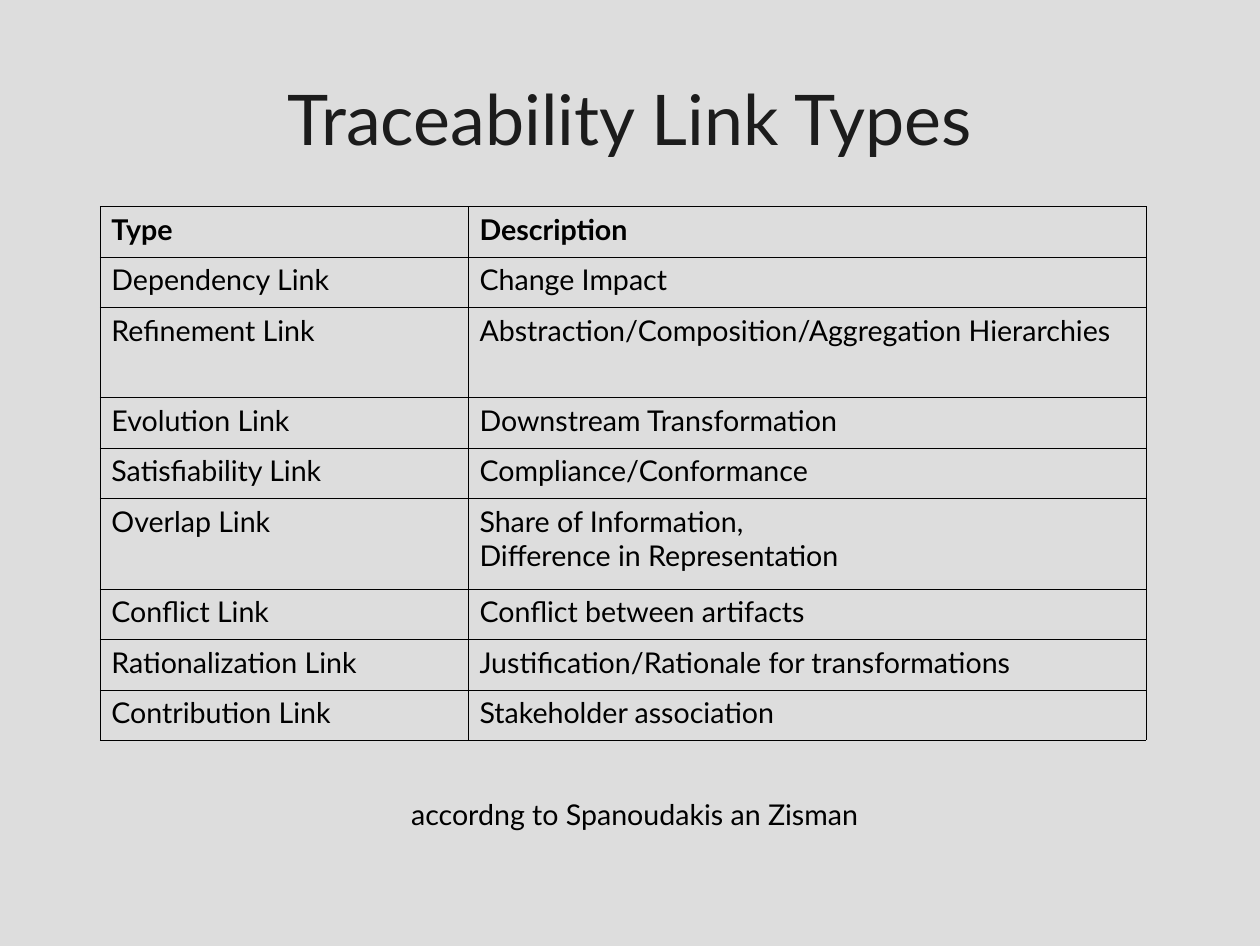
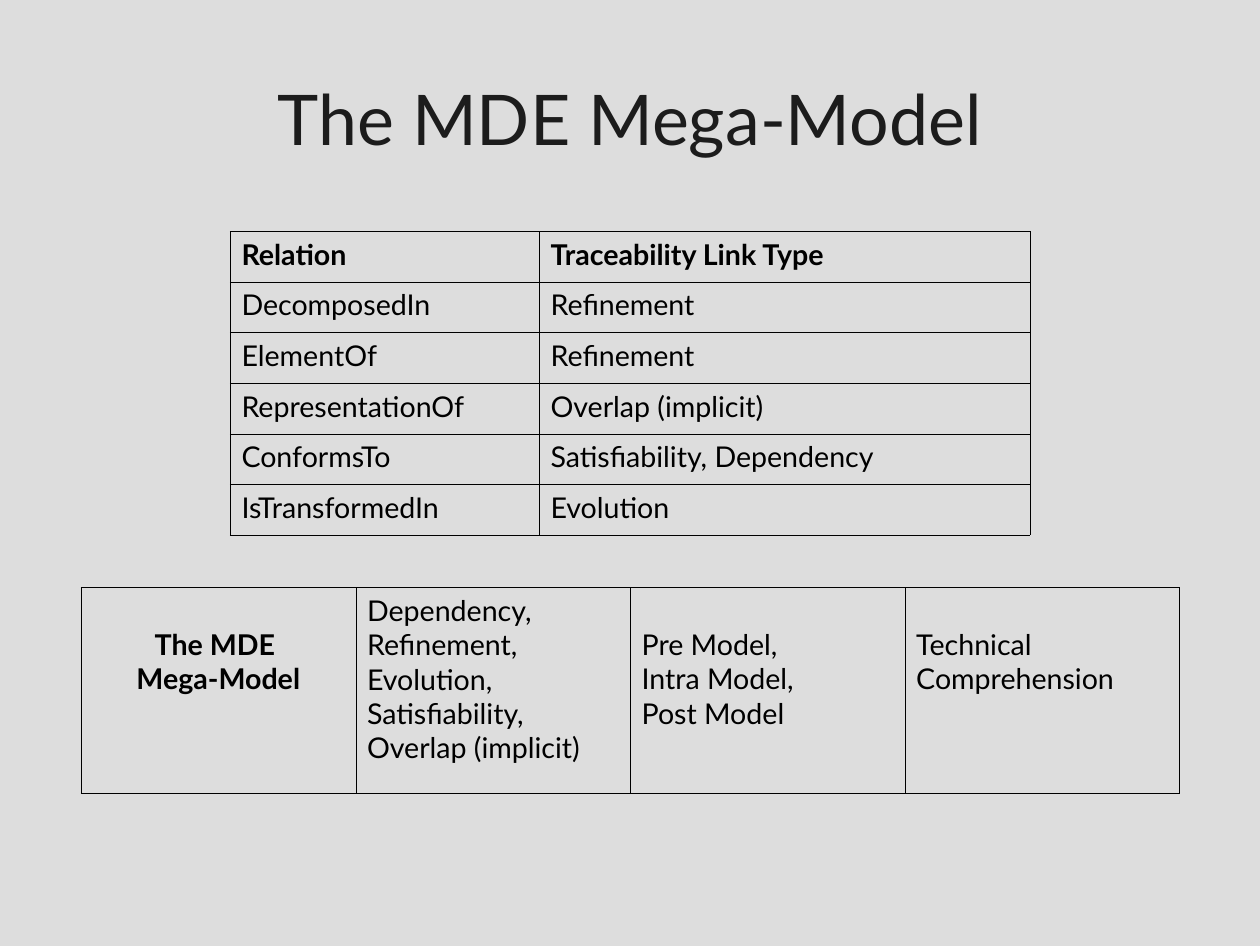
from dataclasses import dataclass

from lxml.etree import SubElement
from pptx import Presentation
from pptx.dml.color import RGBColor as RGB
from pptx.enum.text import MSO_ANCHOR as Anchor, MSO_AUTO_SIZE as Fit, PP_ALIGN as Align
from pptx.oxml.ns import qn
from pptx.util import Emu, Inches, Pt

SIZE = (11.02, 8.27)  # inches

LINKS = [
    ("Type", "Description"),
    ("Dependency Link", "Change Impact"),
    ("Refinement Link", "Abstraction/Composition/Aggregation Hierarchies"),
    ("Evolution Link", "Downstream Transformation"),
    ("Satisfiability Link", "Compliance/Conformance"),
    ("Overlap Link", "Share of Information,\nDifference in Representation"),
    ("Conflict Link", "Conflict between artifacts"),
    ("Rationalization Link", "Justification/Rationale for transformations"),
    ("Contribution Link", "Stakeholder association"),
]
TALL = {2: 90, 5: 90}
SOURCE = "accordng to Spanoudakis an Zisman"

RELATIONS = [
    ("Relation", "Traceability Link Type"),
    ("DecomposedIn", "Refinement"),
    ("ElementOf", "Refinement"),
    ("RepresentationOf", "Overlap (implicit)"),
    ("ConformsTo", "Satisfiability, Dependency"),
    ("IsTransformedIn", "Evolution"),
]
SUMMARY = [(
    "The MDE \nMega-Model",
    "Dependency,\nRefinement,\nEvolution,\nSatisfiability,\nOverlap (implicit)",
    "Pre Model,\nIntra Model,\nPost Model",
    "Technical Comprehension",
)]


@dataclass(frozen=True)
class Theme:
    font: str = "Lato"
    back: RGB = RGB(0xDD, 0xDD, 0xDD)
    head: RGB = RGB(0x1C, 0x1C, 0x1C)
    ink: RGB = RGB(0, 0, 0)
    title: int = 44
    body: int = 18
    rule: int = 762  # EMU


THEME = Theme()


def px(num):
    return Emu(round(num * 8000))


def box(*nums):
    return [px(num) for num in nums]


def write(frame, text, size=THEME.body, color=THEME.ink, bold=False, align=Align.LEFT):
    """Fill the frame with one paragraph for each line of text."""
    for num, line in enumerate(text.split("\n")):
        para = frame.add_paragraph() if num else frame.paragraphs[0]
        para.alignment = align
        run = para.add_run()
        run.text = line
        font = run.font
        font.name, font.size, font.bold = THEME.font, Pt(size), bold
        font.color.rgb = color


def add_slide(deck, title):
    slide = deck.slides.add_slide(deck.slide_layouts[5])
    head = slide.shapes.title
    head.left, head.top, head.width, head.height = box(63, 38, 1134, 158)
    frame = head.text_frame
    frame.margin_left = frame.margin_right = frame.margin_top = frame.margin_bottom = 0
    frame.vertical_anchor = Anchor.MIDDLE
    frame.auto_size = Fit.NONE
    write(frame, title, THEME.title, THEME.head, align=Align.CENTER)
    return slide


def add_rules(cell):
    props = cell._tc.get_or_add_tcPr()
    for side in ("lnL", "lnR", "lnT", "lnB"):
        line = SubElement(props, qn(f"a:{side}"), w=str(THEME.rule))
        fill = SubElement(line, qn("a:solidFill"))
        SubElement(fill, qn("a:srgbClr"), val=str(THEME.ink))


def add_grid(slide, data, left, top, cols, height, tall=None):
    """Draw a ruled table; rows not in tall share the height left over."""
    tall = tall or {}
    rest = (height - sum(tall.values())) / (len(data) - len(tall))
    shape = slide.shapes.add_table(
        len(data), len(cols), *box(left, top, sum(cols), height))
    table = shape.table
    table.first_row = table.horz_banding = False
    for col, width in zip(table.columns, cols):
        col.width = px(width)
    for num, texts in enumerate(data):
        table.rows[num].height = px(tall.get(num, rest))
        for cell, text in zip(table.rows[num].cells, texts):
            add_rules(cell)
            cell.fill.background()
            write(cell.text_frame, text, bold=num == 0 and len(data) > 1)
    return table


def add_links(deck):
    slide = add_slide(deck, "Traceability Link Types")
    add_grid(slide, LINKS, 100, 206, (368, 678), 534, TALL)
    note = slide.shapes.add_textbox(*box(320, 791, 629, 50)).text_frame
    note.word_wrap = True
    write(note, SOURCE, align=Align.CENTER)


def add_model(deck):
    slide = add_slide(deck, "The MDE Mega-Model")
    add_grid(slide, RELATIONS, 230, 231, (309, 491), 304)
    table = add_grid(slide, SUMMARY, 81, 587, [1098 / 4] * 4, 206)
    for col in (0, 2, 3):
        table.cell(0, col).margin_top = px(40)
    for para in table.cell(0, 0).text_frame.paragraphs:
        para.alignment = Align.CENTER
        para.runs[0].font.bold = True


def main():
    deck = Presentation()
    deck.slide_width, deck.slide_height = map(Inches, SIZE)
    fill = deck.slide_master.background.fill
    fill.solid()
    fill.fore_color.rgb = THEME.back
    add_links(deck)
    add_model(deck)
    deck.save("out.pptx")


if __name__ == "__main__":
    main()
